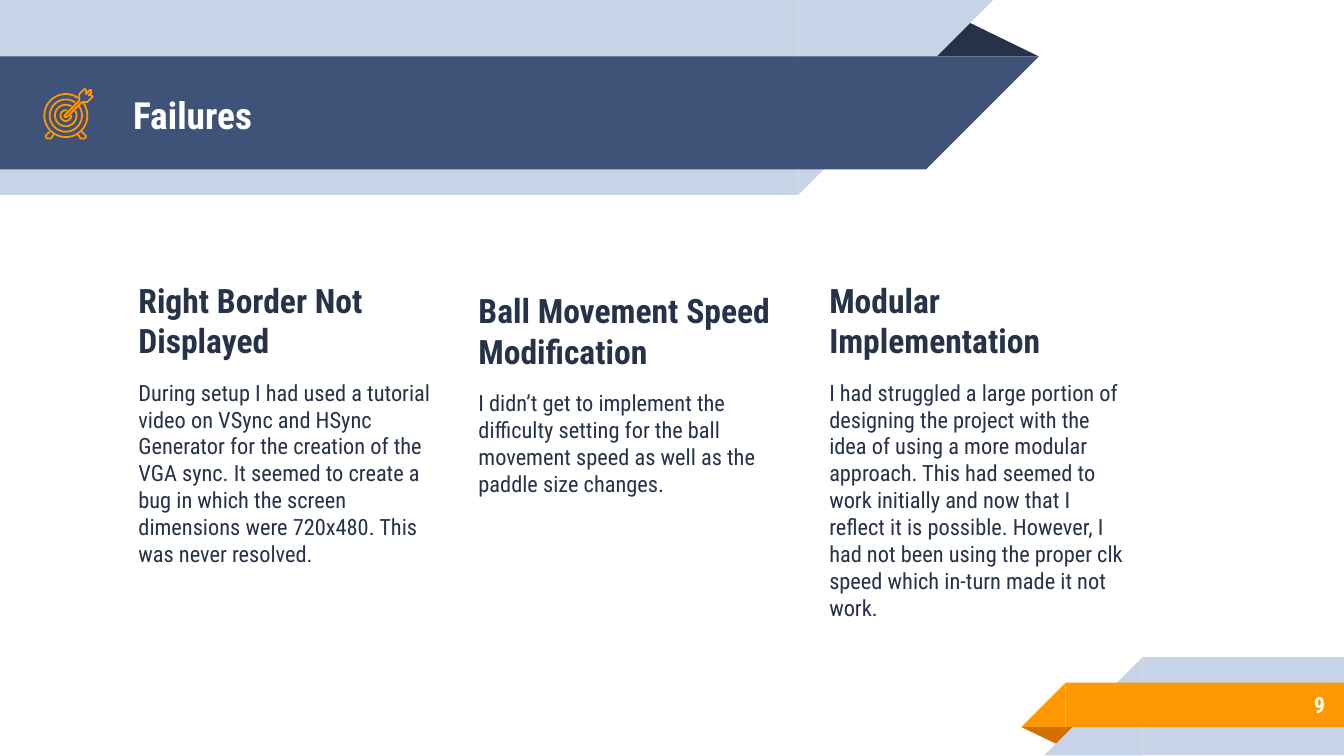
from math import cos, radians, sin

from pptx import Presentation
from pptx.dml.color import RGBColor
from pptx.enum.shapes import MSO_SHAPE as Shape
from pptx.enum.text import MSO_ANCHOR as Anchor, MSO_AUTO_SIZE as AutoSize, PP_ALIGN as Align
from pptx.util import Inches, Pt

NAVY, BLUE, PALE = "263248", "3F5378", "C7D3E6"
ORANGE, RUST, WHITE = "FF9800", "D26F00", "FFFFFF"
FONT = "Roboto Condensed"

deck = Presentation()
deck.slide_width = Inches(10)
deck.slide_height = deck.slide_width * 9 // 16
page = deck.slides.add_slide(deck.slide_layouts.get_by_name("Comparison"))
title, *bodies = page.placeholders
spare = bodies.pop()
spare._element.getparent().remove(spare._element)


def add_block(kind, place, color, rotation=0):
    block = page.shapes.add_shape(kind, *map(Inches, place))
    block.shadow.inherit = False
    block.fill.solid()
    block.fill.fore_color.rgb = RGBColor.from_string(color)
    block.line.fill.background()
    block.rotation = rotation
    return block


def write_text(box, place, paragraphs, anchor=Anchor.TOP, align=Align.LEFT):
    """Place a box on top and fill it with (text, size, bold, color, before, after) rows."""
    page.shapes._spTree.append(box._element)
    box.left, box.top, box.width, box.height = map(Inches, place)
    frame = box.text_frame
    frame_format = {"word_wrap": True, "auto_size": AutoSize.NONE, "vertical_anchor": anchor}
    for side in ("left", "top", "right", "bottom"):
        frame_format[f"margin_{side}"] = Inches(0.1)
    for name, value in frame_format.items():
        setattr(frame, name, value)
    for index, (text, size, bold, color, before, after) in enumerate(paragraphs):
        para = frame.add_paragraph() if index else frame.paragraphs[0]
        para_format = {"alignment": align, "line_spacing": 1.0,
                       "space_before": Pt(before), "space_after": Pt(after)}
        for name, value in para_format.items():
            setattr(para, name, value)
        properties = para._p.get_or_add_pPr()
        properties.set("marL", "0")
        properties.set("indent", "0")
        bullet = properties.makeelement(
            "{http://schemas.openxmlformats.org/drawingml/2006/main}buNone", {})
        properties.append(bullet)
        span = para.add_run()
        span.text = text
        for name, value in {"name": FONT, "size": Pt(size), "bold": bold}.items():
            setattr(span.font, name, value)
        span.font.color.rgb = RGBColor.from_string(color)


# Folds behind the ribbons
for place, color, rotation in [
    ((6.88, 0.14, 0.85, 0.28), NAVY, 0),
    ((7.6, 5.41, 0.43, 0.14), RUST, 180),
]:
    fold = add_block(Shape.ISOSCELES_TRIANGLE, place, color, rotation)
    fold.adjustments[0] = 0.324

# Ribbons: a bar with a slanted end facing the middle of the slide
for left, top, width, height, color in [
    (0, 0, 5.94, 1.45, PALE),
    (0, 0.42, 6.89, 0.84, BLUE),
    (8.5, 4.89, 1.5, 0.73, PALE),
    (7.93, 5.08, 2.07, 0.33, ORANGE),
]:
    add_block(Shape.RECTANGLE, (left, top, width, height), color)
    end, rotation = (left - height, 270) if left else (width, 90)
    add_block(Shape.RIGHT_TRIANGLE, (end, top, height, height), color, rotation)

# Title, three columns and the page number
write_text(title, (0.89, 0.43, 5.75, 0.84), [("Failures", 20, True, WHITE, 0, 0)], Anchor.MIDDLE)

columns = [
    (0.93, 1.98, "Right Border Not Displayed",
     "During setup I had used a tutorial video on VSync and HSync Generator for the creation "
     "of the VGA sync. It seemed to create a bug in which the screen dimensions were 720x480. "
     "This was never resolved."),
    (3.46, 2.06, "Ball Movement Speed Modification",
     "I didn’t get to implement the difficulty setting for the ball movement speed as well as "
     "the paddle size changes."),
    (6.07, 1.98, "Modular Implementation",
     "I had struggled a large portion of designing the project with the idea of using a more "
     "modular approach. This had seemed to work initially and now that I reflect it is "
     "possible. However, I had not been using the proper clk speed which in-turn made it not "
     "work."),
]
for body, (left, top, heading, detail) in zip(bodies, columns):
    write_text(body, (left, top, 2.45, 1.66),
               [(heading, 18, True, NAVY, 6, 0), (detail, 12, False, NAVY, 10, 10)])

number_box = page.shapes.add_textbox(0, 0, 0, 0)
write_text(number_box, (8.33, 5.07, 1.63, 0.35), [("9", 12, True, WHITE, 0, 0)],
           Anchor.MIDDLE, Align.RIGHT)

# Target icon: rings open toward the dart, two feet, and the dart
center_x, center_y = 0.49, 0.86
outlines = []
for radius, start, stop in [(0.16, 54, 396), (0.12, 54, 396), (0.08, 58, 387), (0.04, 75, 370)]:
    angles = [radians(start + (stop - start) * step / 60) for step in range(61)]
    outlines.append(([(center_x + radius * cos(a), center_y - radius * sin(a)) for a in angles], False))

foot = [(0.37, 0.98), (0.35, 1), (0.34, 1.01), (0.34, 1.02), (0.35, 1.03),
        (0.36, 1.03), (0.37, 1.03), (0.38, 1.03), (0.4, 1)]
outlines.append((foot, False))
outlines.append(([(2 * center_x - x, y) for x, y in foot], False))

dart = [(0.68, 0.71), (0.66, 0.71), (0.68, 0.69), (0.68, 0.67), (0.67, 0.67), (0.64, 0.7),
        (0.64, 0.67), (0.63, 0.66), (0.59, 0.7), (0.59, 0.75), (0.48, 0.86), (0.48, 0.87),
        (0.5, 0.87), (0.61, 0.76), (0.65, 0.76), (0.69, 0.72)]
outlines.append((dart, True))

icon = page.shapes.add_group_shape()
for points, closed in outlines:
    first, *rest = [(Inches(x), Inches(y)) for x, y in points]
    builder = icon.shapes.build_freeform(*first)
    builder.add_line_segments(rest, close=closed)
    stroke = builder.convert_to_shape()
    stroke.shadow.inherit = False
    stroke.fill.background()
    stroke.line.color.rgb = RGBColor.from_string(ORANGE)
    stroke.line.width = Pt(0.96)

deck.save("out.pptx")
